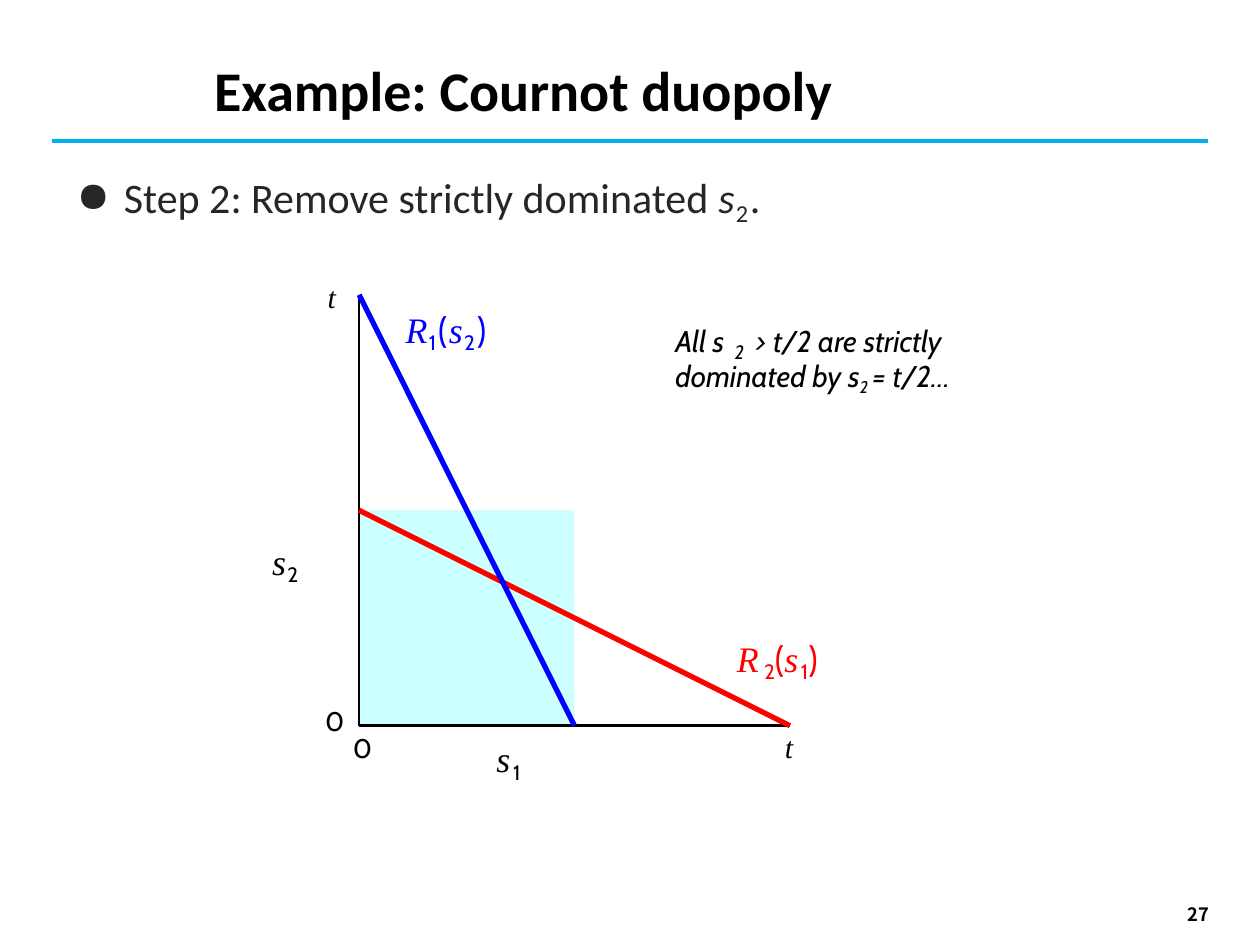
from dataclasses import dataclass
from typing import Any

from lxml import etree
from pptx import Presentation
from pptx.dml.color import RGBColor
from pptx.enum.shapes import MSO_CONNECTOR, MSO_SHAPE
from pptx.enum.text import MSO_ANCHOR, PP_ALIGN
from pptx.oxml.ns import qn
from pptx.util import Inches, Pt

STRAIGHT = MSO_CONNECTOR.STRAIGHT
RECTANGLE = MSO_SHAPE.RECTANGLE
RIGHT = PP_ALIGN.RIGHT
LEFT = PP_ALIGN.LEFT
MIDDLE = MSO_ANCHOR.MIDDLE
TOP = MSO_ANCHOR.TOP

BLACK, BLUE, RED = "000000", "0000FF", "FF0000"
SKY, CHARCOAL, PALE_CYAN = "00B0F0", "262626", "CCFFFF"
CELL = 0.1
SUBSCRIPT = -21


def rgb(hex_color):
    return RGBColor.from_string(hex_color)


def grid(cells):
    return Inches(cells * CELL)


def write(paragraph, text, size, font, color=BLACK, bold=False, italic=False,
          spacing=0, baseline=0):
    run = paragraph.add_run()
    run.text = text
    run.font.size = Pt(size)
    run.font.name = font
    run.font.bold = bold
    run.font.italic = italic
    run.font.color.rgb = rgb(color)
    properties = run._r.get_or_add_rPr()
    properties.set("spc", str(round(spacing * 100)))
    properties.set("baseline", str(baseline * 1000))


@dataclass
class CournotSlide:
    slide: Any
    heading_font: str = "Calibri"
    symbol_font: str = "Times New Roman"
    label_font: str = "Cabin"
    number_font: str = "Noto Sans CJK KR"
    symbol_size: float = 20.5
    note_size: float = 17.1

    def box(self, col, row, cols, rows, inset=(0, 0), anchor=TOP, align=LEFT):
        frame = self.slide.shapes.add_textbox(
            grid(col), grid(row), grid(cols), grid(rows)).text_frame
        frame.word_wrap = True
        frame.vertical_anchor = anchor
        frame.margin_left = frame.margin_right = grid(inset[0])
        frame.margin_top = frame.margin_bottom = grid(inset[1])
        frame.paragraphs[0].alignment = align
        return frame.paragraphs[0]

    def line(self, start, end, color, width):
        connector = self.slide.shapes.add_connector(
            STRAIGHT, *map(grid, start + end))
        connector.line.color.rgb = rgb(color)
        connector.line.width = Pt(width)
        etree.SubElement(connector._element.spPr, qn("a:effectLst"))

    def region(self, col, row, cols, rows, color):
        area = self.slide.shapes.add_shape(
            RECTANGLE, grid(col), grid(row), grid(cols), grid(rows))
        area.shadow.inherit = False
        area.fill.solid()
        area.fill.fore_color.rgb = rgb(color)
        area.line.fill.background()

    def bullet(self, paragraph, mark, indent):
        properties = paragraph._p.get_or_add_pPr()
        properties.set("marL", str(grid(indent)))
        properties.set("indent", str(-grid(indent)))
        etree.SubElement(properties, qn("a:buChar")).set("char", mark)

    def tab(self, paragraph, position):
        stops = etree.SubElement(paragraph._p.get_or_add_pPr(), qn("a:tabLst"))
        stop = etree.SubElement(stops, qn("a:tab"))
        stop.set("pos", str(grid(position)))
        stop.set("algn", "l")

    def formula(self, col, row, cols, symbols, spacings, color=BLACK, align=LEFT):
        paragraph = self.box(col, row, cols, 3.5, align=align)
        for symbol, spacing in zip(symbols, spacings):
            letter = symbol.isalpha()
            write(paragraph, symbol, self.symbol_size,
                  self.symbol_font if letter else self.label_font,
                  color=color, italic=letter, spacing=spacing,
                  baseline=SUBSCRIPT if symbol.isdigit() else 0)

    def note(self, col, row, cols, text, size=None, tab=None):
        paragraph = self.box(col, row, cols, 2.9)
        if tab:
            self.tab(paragraph, tab)
        write(paragraph, text, size or self.note_size, self.label_font, italic=True)
        return paragraph

    def axis_end(self, col, row):
        write(self.box(col, row, 1.1, 2.9), "t", self.note_size,
              self.symbol_font, italic=True, spacing=1.4)

    def zeros(self, col, row, indent):
        first = self.box(col, row, 3.5, 4.5)
        second = first._parent.add_paragraph()
        second._p.get_or_add_pPr().set("marL", str(grid(indent)))
        for paragraph in (first, second):
            paragraph.line_spacing = Pt(15.6)
            write(paragraph, "0", 15.4, self.label_font)

    def header(self, title, number):
        write(self.box(95.9 - 2.6, 71.4, 7.9, 2.3, (1, 0.5), MIDDLE), number,
              10.5, self.number_font, bold=True)
        self.line((4.1, 11.2), (95.9, 11.2), SKY, 2.25)
        write(self.box(17, 4.4, 78, 5.9), title, 32, self.heading_font, bold=True)

    def step(self):
        paragraph = self.box(5.1, 13.1, 89.5, 5.5, (1, 0.5))
        self.bullet(paragraph, "●", 3.75)
        style = {"size": 24, "font": self.heading_font, "color": CHARCOAL}
        write(paragraph, "Step 2: Remove strictly dominated ", **style)
        write(paragraph, "s", italic=True, spacing=0.7, **style)
        write(paragraph, "2", spacing=1, baseline=SUBSCRIPT, **style)
        write(paragraph, ".", spacing=0.7, **style)

    def reaction_graph(self, left, top, side):
        half, right, bottom = side / 2, left + side, top + side
        origin = (left, bottom)
        self.region(left, top + half, half, half, PALE_CYAN)
        self.line((left, top), origin, BLACK, 1.5)
        self.line(origin, (right, bottom), BLACK, 1.5)
        self.line((left, top + half), (right, bottom), RED, 3)
        self.line((left, top), (left + half, bottom), BLUE, 3)
        self.zeros(left - 2.7, bottom - 1.3, 2.2)
        self.axis_end(left - 2.5, top - 1.3)
        self.axis_end(right - 0.4, bottom + 0.2)
        self.formula(39.4, 58.5, 4, "s1", (1.5, 0))
        self.formula(21.6, 42.8, 4, "s2", (0.8, 1.1))
        self.formula(32.2, 24.4, 9, "R1(s2)", (0.7, 1.1, 0.7, 0.7, 1.1, 0.7), BLUE)
        self.formula(54.9, 50.5, 10, "R2(s1)", (3, 0, 0, 1.5, 0, 0), RED, RIGHT)

    def dominance_note(self):
        self.note(58.3, 27, 1.5, "2", size=11.1)
        self.note(53.6, 25.6, 25, "All s\t> t/2 are strictly", tab=6.3)
        second_line = self.note(53.6, 28.4, 25, "dominated by s")
        write(second_line, "2 ", 16.7, self.label_font, italic=True, baseline=SUBSCRIPT)
        write(second_line, "= t/2…", self.note_size, self.label_font, italic=True)


def main():
    deck = Presentation()
    deck.slide_width, deck.slide_height = grid(100), grid(75)
    page = CournotSlide(deck.slides.add_slide(deck.slide_layouts[6]))
    page.header("Example: Cournot duopoly", "27")
    page.step()
    page.reaction_graph(28.5, 23.4, 34.2)
    page.dominance_note()
    deck.save("out.pptx")


if __name__ == "__main__":
    main()
